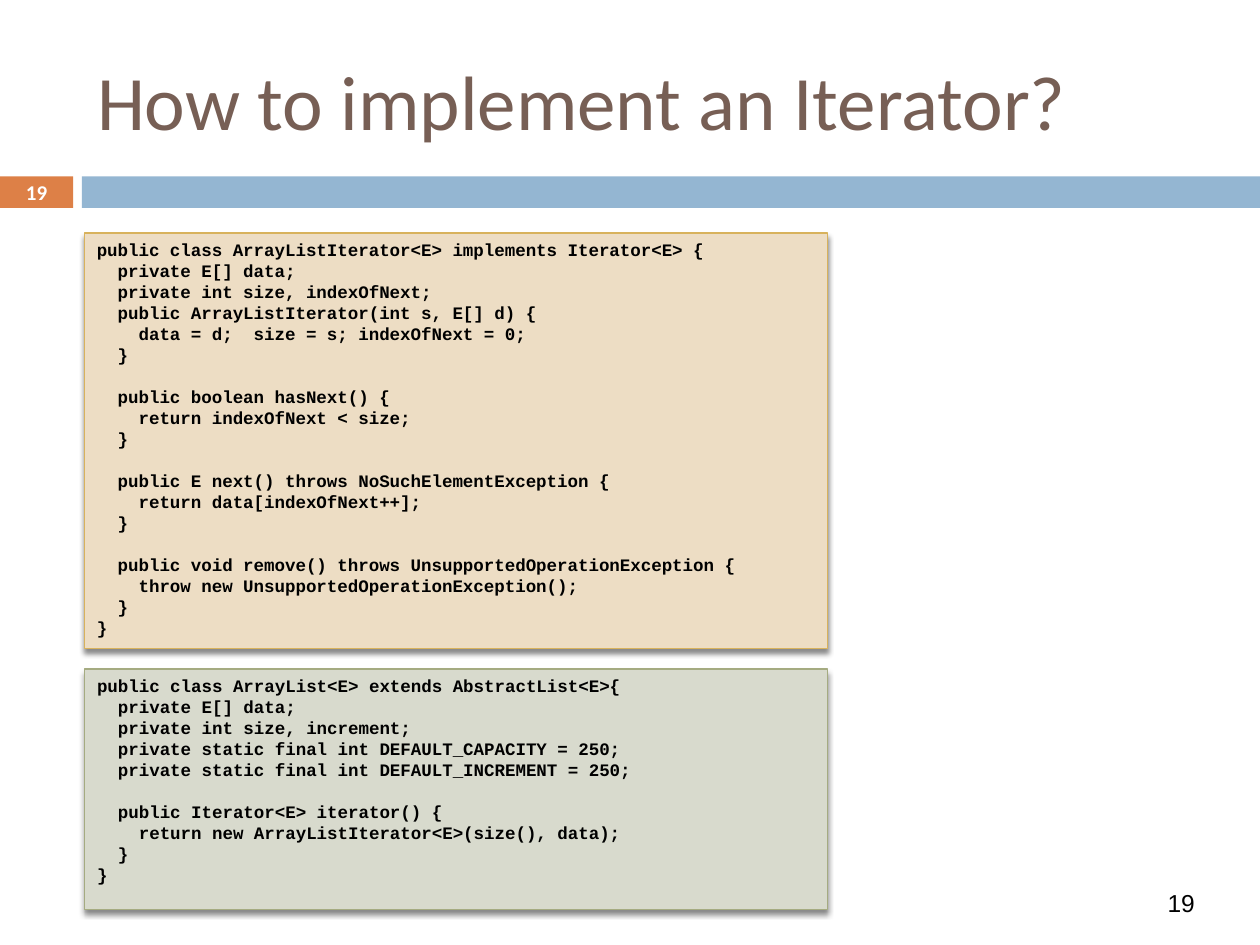
import pptx
import pptx.dml.color
import pptx.enum.shapes
import pptx.enum.text
import pptx.oxml
import pptx.oxml.ns
import pptx.util
from pptx.util import Inches

COLOURS = {
    "title": "775F55",
    "tag": "DD8047",
    "band": "94B6D2",
    "white": "FFFFFF",
    "black": "000000",
    "iterator_fill": "EDDDC4",
    "iterator_line": "D8B25C",
    "list_fill": "D8DACD",
    "list_line": "A5AB81",
}

ITERATOR_CODE = """public class ArrayListIterator<E> implements Iterator<E> {
  private E[] data;
  private int size, indexOfNext;
  public ArrayListIterator(int s, E[] d) {
    data = d;  size = s; indexOfNext = 0;
  }

  public boolean hasNext() {
    return indexOfNext < size;
  }

  public E next() throws NoSuchElementException {
    return data[indexOfNext++];
  }

  public void remove() throws UnsupportedOperationException {
    throw new UnsupportedOperationException();
  }
}"""

LIST_CODE = """public class ArrayList<E> extends AbstractList<E>{
  private E[] data;
  private int size, increment;
  private static final int DEFAULT_CAPACITY = 250;
  private static final int DEFAULT_INCREMENT = 250;

  public Iterator<E> iterator() {
    return new ArrayListIterator<E>(size(), data);
  }
}"""

SHADOW = (
    f'<a:outerShdw {pptx.oxml.ns.nsdecls("a")} blurRad="38100" dist="30480" '
    'dir="5400000" rotWithShape="0"><a:srgbClr val="000000">'
    '<a:alpha val="45000"/></a:srgbClr></a:outerShdw>'
)

ALIGN = pptx.enum.text.PP_ALIGN
ANCHOR = pptx.enum.text.MSO_ANCHOR


def colour(name):
    return pptx.dml.color.RGBColor.from_string(COLOURS[name])


def apply_format(target, values):
    for name, value in values.items():
        setattr(target, name, value)


def place(shape, left, top, width, height):
    places = {"left": left, "top": top, "width": width, "height": height}
    apply_format(shape, {name: Inches(value) for name, value in places.items()})


def write_text(box, text, font, size, ink, bold=False, align=ALIGN.LEFT,
               anchor=ANCHOR.TOP, spacing=None):
    frame = box.text_frame
    frame.text = text
    apply_format(frame, {
        "word_wrap": True,
        "auto_size": pptx.enum.text.MSO_AUTO_SIZE.NONE,
        "vertical_anchor": anchor,
    })
    for para in frame.paragraphs:
        properties = para._p.get_or_add_pPr()
        properties.set("marL", "0")
        properties.set("indent", "0")
        properties.append(pptx.oxml.parse_xml(
            f'<a:buNone {pptx.oxml.ns.nsdecls("a")}/>'))
        apply_format(para, {
            "alignment": align,
            "space_before": pptx.util.Pt(0),
            "space_after": pptx.util.Pt(0),
            "line_spacing": spacing,
        })
        for span in [para, *para.runs]:
            apply_format(span.font, {
                "name": font, "size": pptx.util.Pt(size), "bold": bold})
            span.font.color.rgb = colour(ink)


def add_bar(page, left, width, fill):
    bar = page.shapes.add_shape(
        pptx.enum.shapes.MSO_SHAPE.RECTANGLE,
        Inches(left), Inches(1.4), Inches(width), Inches(0.25))
    bar.shadow.inherit = False
    bar.fill.solid()
    bar.fill.fore_color.rgb = colour(fill)
    bar.line.fill.background()


def add_label(page, left, top, width, height, text, **style):
    box = page.shapes.add_textbox(
        Inches(left), Inches(top), Inches(width), Inches(height))
    write_text(box, text, **style)


def make_code_panel(box, top, height, code, theme):
    place(box, 0.67, top, 5.9, height)
    box.fill.solid()
    box.fill.fore_color.rgb = colour(f"{theme}_fill")
    box.line.color.rgb = colour(f"{theme}_line")
    box.line.width = pptx.util.Pt(0.79)
    box.shadow.inherit = False
    effects = box._element.spPr.find(pptx.oxml.ns.qn("a:effectLst"))
    effects.append(pptx.oxml.parse_xml(SHADOW))
    write_text(box, code, "Courier New", 10, "black", bold=True,
               spacing=pptx.util.Pt(12))


def main():
    deck = pptx.Presentation()
    deck.slide_width, deck.slide_height = Inches(10), Inches(7.5)
    page = deck.slides.add_slide(deck.slide_layouts[1])

    add_bar(page, 0, 0.58, "tag")
    add_bar(page, 0.65, 9.35, "band")

    title = page.shapes.title
    place(title, 0.67, 0.25, 8.92, 1.08)
    write_text(title, "How to implement an Iterator?", "Calibri", 44, "title",
               anchor=ANCHOR.MIDDLE)

    make_code_panel(page.placeholders[1], 5.31, 1.91, LIST_CODE, "list")
    iterator_box = page.shapes.add_textbox(0, 0, 0, 0)
    make_code_panel(iterator_box, 1.85, 3.3, ITERATOR_CODE, "iterator")

    add_label(page, 0, 1.39, 0.58, 0.27, "19", font="Calibri", size=12,
              ink="white", bold=True, align=ALIGN.CENTER, anchor=ANCHOR.MIDDLE)
    add_label(page, 9, 7, 0.75, 0.33, "19", font="Arial", size=14,
              ink="black", align=ALIGN.CENTER)

    deck.save("out.pptx")


if __name__ == "__main__":
    main()
